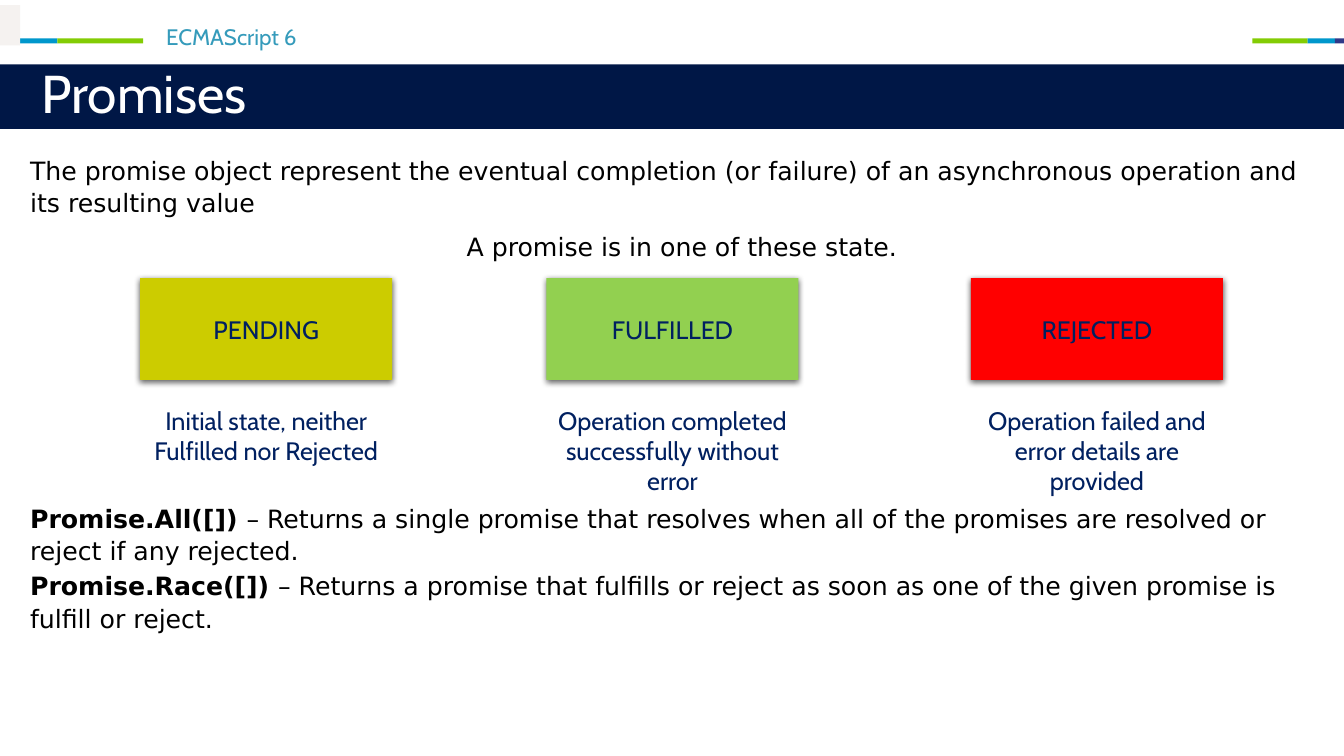
from lxml import etree
from pptx import Presentation
from pptx import util as u
from pptx.dml.color import RGBColor
from pptx.enum import shapes, text
from pptx.oxml import parse_xml
from pptx.oxml.ns import qn

HEADER = "ECMAScript 6"
TITLE = "Promises"
INTRO = "The promise object represent the eventual completion (or failure) of an asynchronous operation and its resulting value"
LEAD = "A promise is in one of these state."
STATES = [
    (1.39, "PENDING", "CCCC00", "Initial state, neither Fulfilled nor Rejected", 0.71),
    (5.42, "FULFILLED", "92D050", "Operation completed successfully without error", 1.01),
    (9.63, "REJECTED", "FF0000", "Operation failed and error details are provided", 1.01),
]
METHODS = [
    ("Promise.All([]) ", "– Returns a single promise that resolves when all of the promises are resolved or reject if any rejected."),
    ("Promise.Race([]) ", "– Returns a promise that fulfills or reject as soon as one of the given promise is fulfill or reject."),
]
GREEN, BLUE, VIOLET = "83CC04", "0097CC", "303888"
STRIPES = [
    (0, [(0.15, VIOLET), (0.42, BLUE), (0.85, GREEN)]),
    (12.42, [(0.55, GREEN), (0.27, BLUE), (0.1, VIOLET)]),
]
NAVY, INK, BLACK, WHITE = "001746", "002060", "000000", "FFFFFF"
CABIN, DEJAVU = "Cabin", "DejaVu Sans"
LEFT, TEXT_W, STATE_W = 0.2, 13.13, 2.5
SHADOW = (
    '<a:effectLst xmlns:a="http://schemas.openxmlformats.org/drawingml/2006/main">'
    '<a:outerShdw blurRad="57150" dist="19050" dir="5400000" algn="ctr" rotWithShape="0">'
    '<a:srgbClr val="000000"><a:alpha val="63000"/></a:srgbClr>'
    '</a:outerShdw></a:effectLst>'
)

prs = Presentation()
prs.slide_width, prs.slide_height = u.Inches(13.33), u.Inches(7.5)
s = prs.slides.add_slide(prs.slide_layouts[6])


def color(value):
    return RGBColor.from_string(value)


def rect(x, y, w, h, fill):
    sp = s.shapes.add_shape(shapes.MSO_SHAPE.RECTANGLE, *map(u.Inches, (x, y, w, h)))
    sp.shadow.inherit = False
    sp.fill.solid()
    sp.fill.fore_color.rgb = color(fill)
    sp.line.fill.background()
    return sp


def box(x, y, w, h):
    return s.shapes.add_textbox(*map(u.Inches, (x, y, w, h)))


def write(sp, paragraphs, font, ink, size=18, align="LEFT", anchor="TOP", spacing=1.0, before=0):
    tf = sp.text_frame
    tf.word_wrap = True
    tf.vertical_anchor = getattr(text.MSO_ANCHOR, anchor)
    for i, runs in enumerate(paragraphs):
        p = tf.add_paragraph() if i else tf.paragraphs[0]
        p.alignment = getattr(text.PP_ALIGN, align)
        p.line_spacing = spacing
        p.space_before = u.Pt(before)
        for words, bold in runs:
            r = p.add_run()
            r.text = words
            r.font.name, r.font.size, r.font.bold = font, u.Pt(size), bold
            r.font.color.rgb = color(ink)


for x, bars in STRIPES:
    for w, fill in bars:
        rect(x, 0.38, w, 0.05, fill)
        x += w

write(box(1.55, 0.23, 8.08, 0.32), [[(HEADER, False)]], CABIN, "359BBB",
      size=16, anchor="MIDDLE", spacing=0.8)
title = rect(0, 0.64, 13.33, 0.64, NAVY)
title.text_frame.margin_left = u.Inches(0.41)
write(title, [[(TITLE, False)]], CABIN, WHITE, size=38, anchor="MIDDLE", spacing=0.9)
rect(0, 0.05, 0.2, 0.4, "F5F2F0")

for y, h, align, paragraphs in [
    (1.47, 0.73, "LEFT", [[(INTRO, False)]]),
    (2.22, 0.41, "CENTER", [[(LEAD, False)]]),
    (4.92, 1.41, "LEFT", [[(name, True), (meaning, False)] for name, meaning in METHODS]),
]:
    write(box(LEFT, y, TEXT_W, h), paragraphs, DEJAVU, BLACK, align=align, spacing=1.07, before=2)

for x, state, fill, meaning, h in STATES:
    sp = rect(x, 2.76, STATE_W, 1.01, fill)
    pr = sp._element.spPr
    pr.replace(pr.find(qn("a:effectLst")), parse_xml(SHADOW))
    write(sp, [[(state, False)]], CABIN, INK, align="CENTER", anchor="MIDDLE")
    write(box(x, 3.97, STATE_W, h), [[(meaning, False)]], CABIN, INK, align="CENTER")

prs.save("out.pptx")
